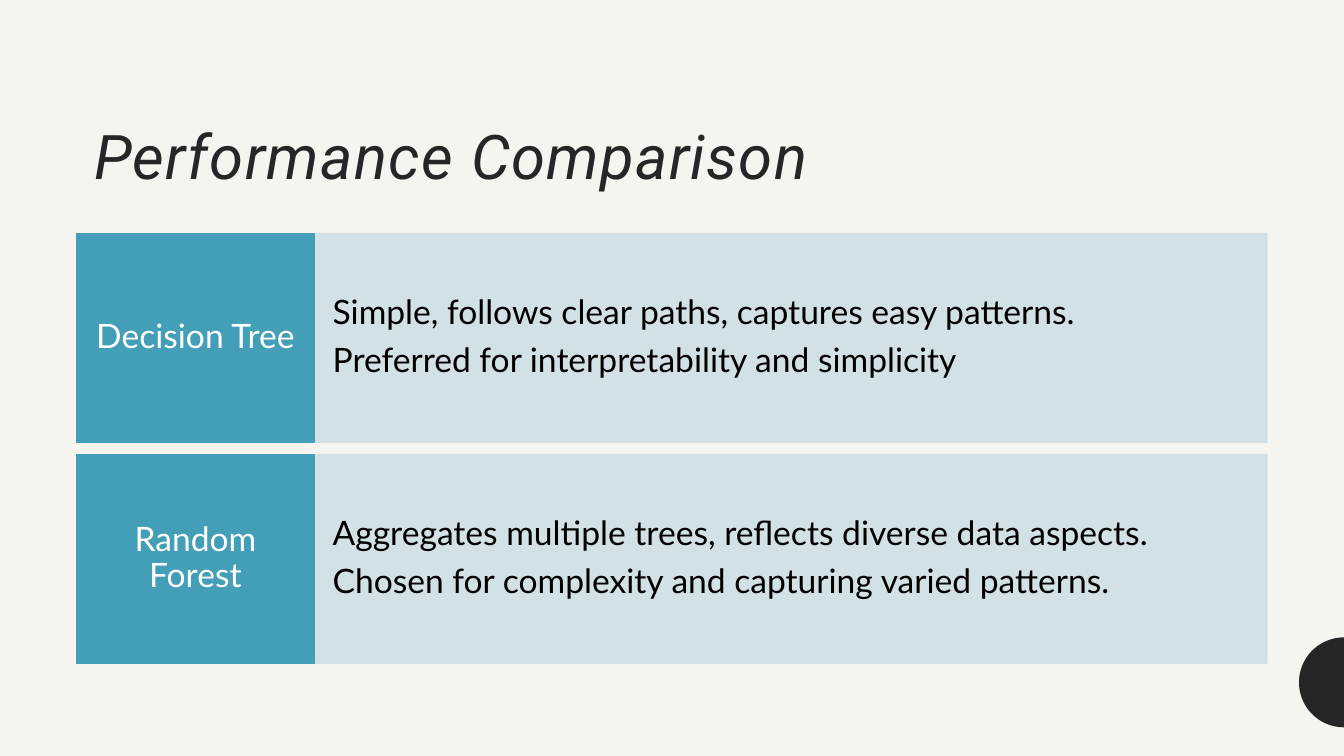
"""Build the Performance Comparison slide."""
from dataclasses import dataclass
from math import cos, pi, sin

from lxml.etree import SubElement
from pptx import Presentation
from pptx.dml.color import RGBColor
from pptx.enum.shapes import MSO_SHAPE
from pptx.enum.text import MSO_ANCHOR, MSO_AUTO_SIZE, PP_ALIGN
from pptx.oxml.ns import qn
from pptx.shapes.autoshape import Shape
from pptx.slide import Slide
from pptx.util import Pt

CREAM = RGBColor(0xF6, 0xF4, 0xEF)
CHARCOAL = RGBColor(0x26, 0x26, 0x26)
TEAL = RGBColor(0x43, 0x9E, 0xB7)
PALE_BLUE = RGBColor(0xCF, 0xDF, 0xE6)
BLACK = RGBColor(0, 0, 0)
WHITE = RGBColor(0xFF, 0xFF, 0xFF)

WIDTH, HEIGHT = 960, 540
LABEL_LEFT, LABEL_WIDTH, DETAIL_WIDTH = 54.5, 170.1, 680.4
ROW_TOP, ROW_HEIGHT, ROW_PITCH = 166.9, 149, 157.8
DISC_Y, DISC_RADIUS, DISC_STEPS = 487.4, 32.1, 48


@dataclass(frozen=True)
class Model:
    """A compared model and its description lines."""

    name: str
    details: tuple[str, ...]


MODELS = (
    Model("Decision Tree", (
        "Simple, follows clear paths, captures easy patterns.",
        "Preferred for interpretability and simplicity",
    )),
    Model("Random Forest", (
        "Aggregates multiple trees, reflects diverse data aspects.",
        "Chosen for complexity and capturing varied patterns.",
    )),
)


def write(s: Shape, *lines: str, color: RGBColor, size: float = 24, font: str = "Lato",
          italic: bool = False, spacing: float = 0, align: PP_ALIGN = PP_ALIGN.LEFT,
          anchor: MSO_ANCHOR = MSO_ANCHOR.MIDDLE,
          inset: tuple[float, float] = (7.2, 3.6)) -> None:
    """Fill a shape with formatted paragraphs."""
    tf = s.text_frame
    tf.word_wrap = True
    tf.auto_size = MSO_AUTO_SIZE.NONE
    tf.vertical_anchor = anchor
    tf.margin_left = tf.margin_right = Pt(inset[0])
    tf.margin_top = tf.margin_bottom = Pt(inset[1])
    for i, line in enumerate(lines):
        p = tf.add_paragraph() if i else tf.paragraphs[0]
        p.alignment = align
        p.line_spacing = 0.9
        p.space_before = Pt(0)
        p.space_after = Pt(0.35 * size if i < len(lines) - 1 else 0)
        r = p.add_run()
        r.text = line
        r.font.name, r.font.size, r.font.italic = font, Pt(size), italic
        r.font.color.rgb = color
        if spacing:
            r.font._element.set("spc", str(round(spacing * 100)))


def add_box(slide: Slide, left: float, top: float, width: float, color: RGBColor,
            opacity: int = 100) -> Shape:
    """Add one rectangle of a comparison row."""
    s = slide.shapes.add_shape(
        MSO_SHAPE.RECTANGLE, Pt(left), Pt(top), Pt(width), Pt(ROW_HEIGHT))
    s.shadow.inherit = False
    s.fill.solid()
    s.fill.fore_color.rgb = color
    s.line.color.rgb = color
    s.line.width = Pt(1)
    if opacity < 100:
        for clr in s._element.spPr.iter(qn("a:srgbClr")):
            SubElement(clr, qn("a:alpha")).set("val", str(opacity * 1000))
    return s


def add_row(slide: Slide, model: Model, top: float) -> None:
    """Add a model's description and label."""
    s = add_box(slide, LABEL_LEFT + LABEL_WIDTH, top, DETAIL_WIDTH, PALE_BLUE, opacity=90)
    write(s, *model.details, color=BLACK, inset=(13, 37.4))
    s = add_box(slide, LABEL_LEFT, top, LABEL_WIDTH, TEAL)
    write(s, model.name, color=WHITE, align=PP_ALIGN.CENTER, inset=(8.6, 14.4))


def add_half_disc(slide: Slide) -> None:
    """Add the dark half disc on the right edge."""
    angles = [pi / 2 + pi * i / DISC_STEPS for i in range(DISC_STEPS + 1)]
    points = [(Pt(WIDTH + DISC_RADIUS * cos(a)), Pt(DISC_Y + DISC_RADIUS * sin(a)))
              for a in angles]
    builder = slide.shapes.build_freeform(*points[0])
    builder.add_line_segments(points[1:], close=True)
    s = builder.convert_to_shape()
    s.shadow.inherit = False
    s.fill.solid()
    s.fill.fore_color.rgb = CHARCOAL
    s.line.fill.background()


def main() -> None:
    """Create and save the slide."""
    prs = Presentation()
    prs.slide_width, prs.slide_height = Pt(WIDTH), Pt(HEIGHT)
    slide = prs.slides.add_slide(prs.slide_layouts[5])
    slide.background.fill.solid()
    slide.background.fill.fore_color.rgb = CREAM
    add_half_disc(slide)
    title = slide.shapes.title
    title.left, title.top, title.width, title.height = Pt(60), Pt(33), Pt(840), Pt(108)
    write(title, "Performance Comparison", color=CHARCOAL, size=44, font="Roboto",
          italic=True, spacing=1, anchor=MSO_ANCHOR.BOTTOM)
    for i, model in enumerate(MODELS):
        add_row(slide, model, ROW_TOP + i * ROW_PITCH)
    prs.save("out.pptx")


if __name__ == "__main__":
    main()
